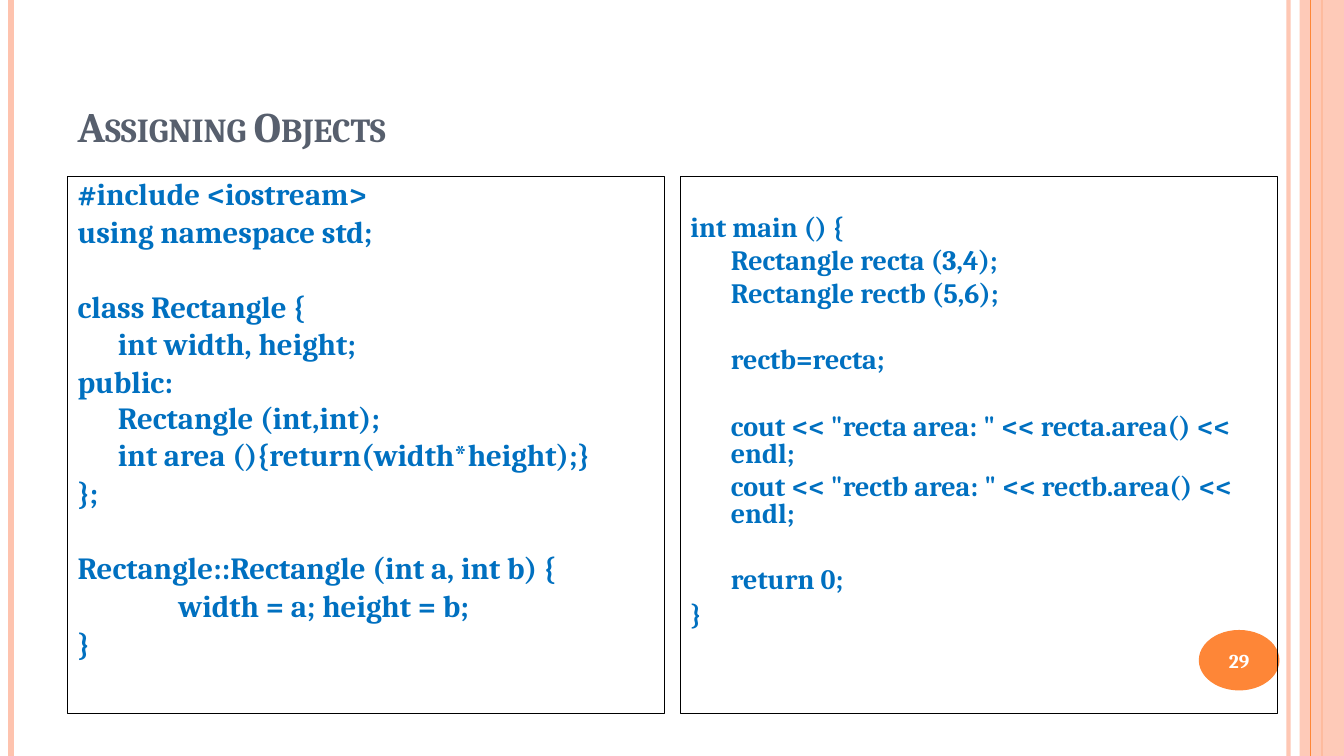
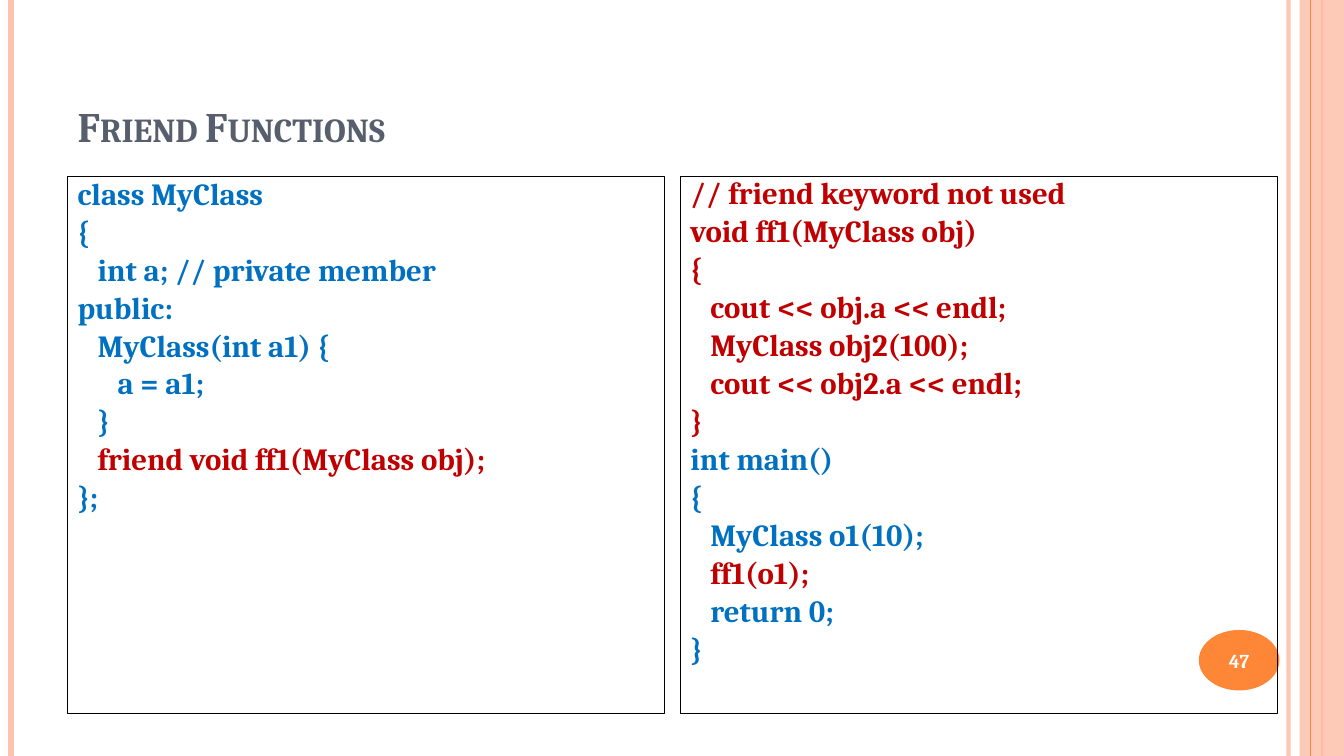
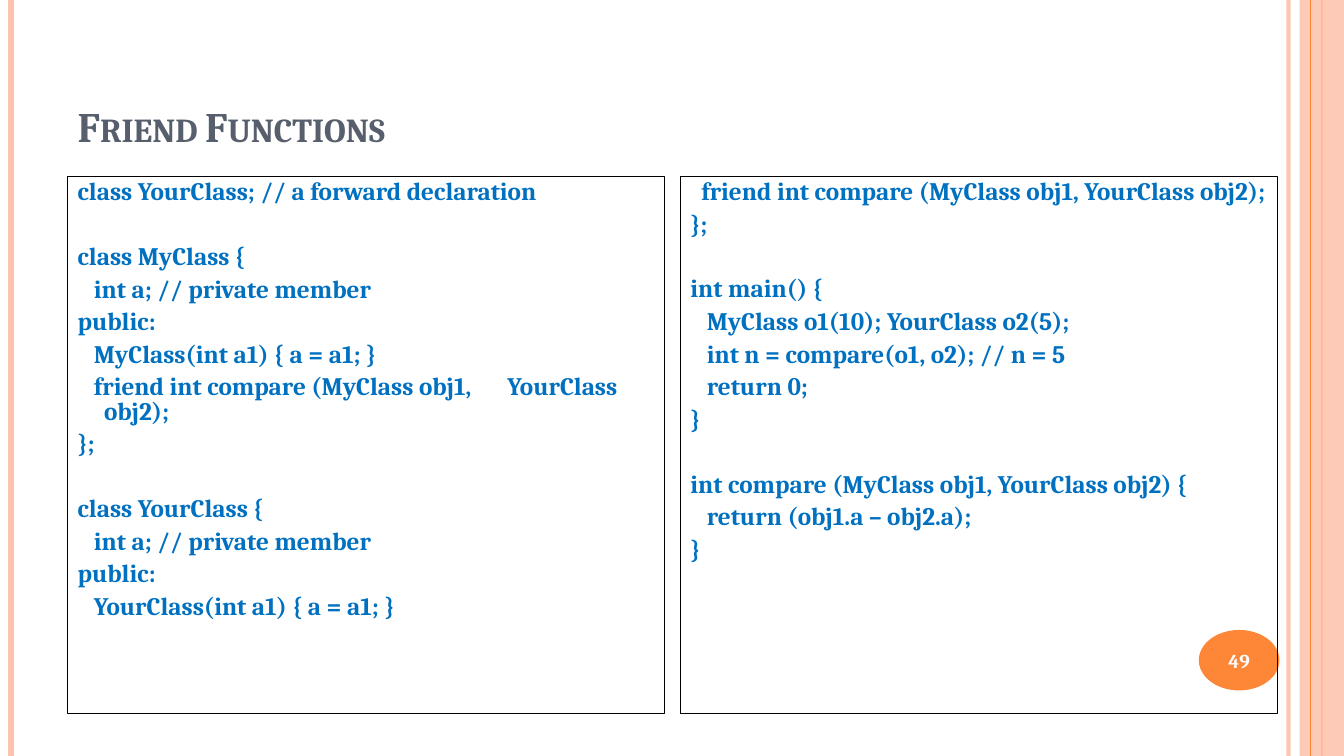
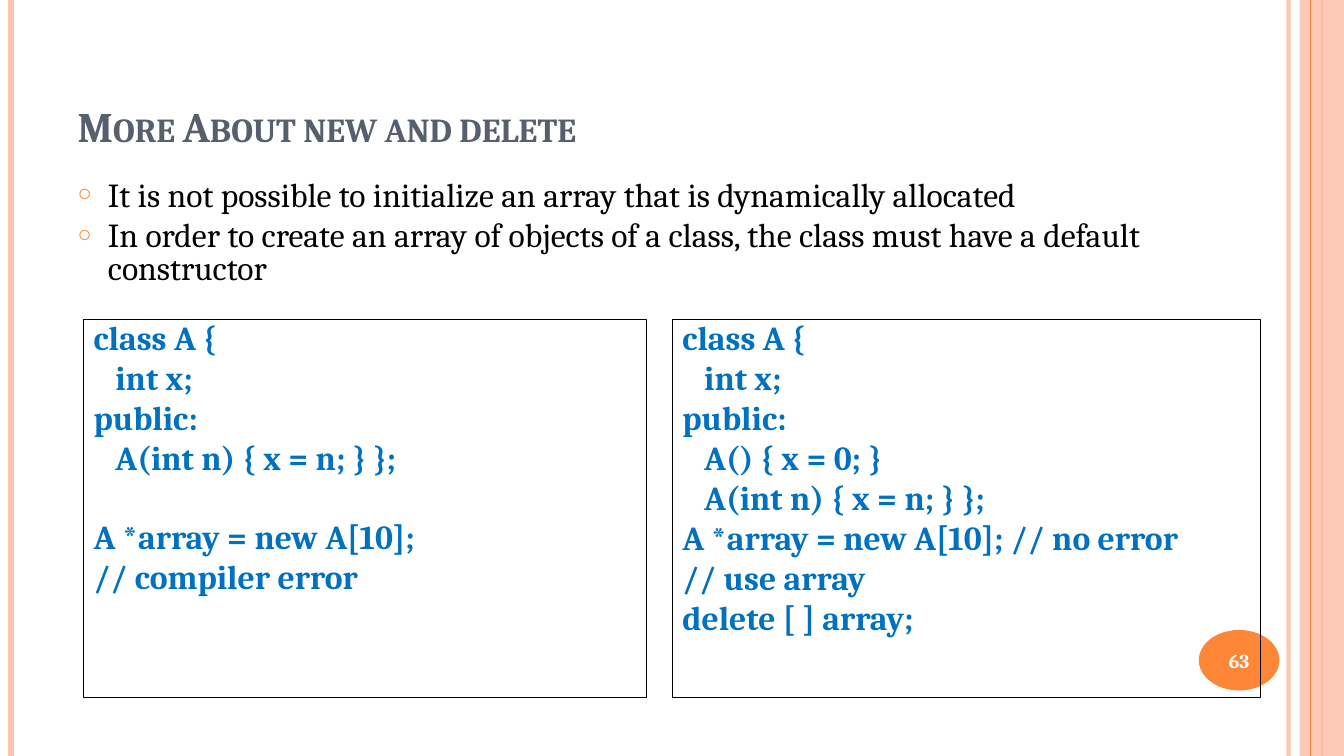
import pptx
import pptx.dml.color
import pptx.enum.shapes
import pptx.enum.text
import pptx.oxml.ns
import pptx.util
from lxml import etree

Inches = pptx.util.Inches
Pt = pptx.util.Pt
qn = pptx.oxml.ns.qn
ALIGN = pptx.enum.text.PP_ALIGN
ANCHOR = pptx.enum.text.MSO_ANCHOR
SHAPE = pptx.enum.shapes.MSO_SHAPE

# Shared look
PEACH, ORANGE, SLATE = "FEC3AE", "FE8637", "575F6D"
BLUE, RED, BLACK, WHITE = "0070C0", "C00000", "000000", "FFFFFF"
TITLE_FONT = {"name": "Cambria", "size": Pt(30), "bold": True}
NUMBER_FONT = {"name": "Cambria", "size": Pt(14), "bold": True}
LIST_FONT = {"name": "Cambria", "size": Pt(24), "bold": False}
LINE_SPACING = 0.8
GAP = 6               # points between paragraphs
TIGHT_GAP = 0.23      # share of the text size, for tightly set lines
LINE_HEIGHT = 0.94    # share of the text size, at the line spacing above
SPACE_WIDTH = 0.003   # inches of indent per leading space and point of size

TITLE_BOX = (0.67, 0.3, 11.22, 1.25)
LIST_BOX = (0.67, 1.75, 11.22, 5.33)
LEFT_BOX = (0.67, 1.75, 5.92, 5.33)
RIGHT_BOX = (6.75, 1.75, 5.92, 5.33)

# Edge stripes: x, colour, width in points, opacity in percent
STRIPES_BELOW = [(12.78, PEACH, 3, 93), (0.11, PEACH, 4.5, 100), (13.11, ORANGE, 1.5, 100)]
STRIPES_ABOVE = [(13, ORANGE, 0.75, 100)]

# Content: leading spaces and blank lines of a listing become indents and gaps
slides = [
    {"title": "Assigning Objects", "number": 29, "panels": [
        {"box": LEFT_BOX, "size": 22, "space": 0.1, "tight": {4}, "code": """\
#include <iostream>
using namespace std;

class Rectangle {
    int width, height;
public:
    Rectangle (int,int);
    int area (){return(width*height);}
};

Rectangle::Rectangle (int a, int b) {
          width = a; height = b;
}"""},
        {"box": RIGHT_BOX, "size": 20, "space": 0.1, "tight": {4}, "top": 0.39, "code": """\
int main () {
    Rectangle recta (3,4);
    Rectangle rectb (5,6);

    rectb=recta;

    cout << "recta area: " << recta.area() << endl;
    cout << "rectb area: " << rectb.area() << endl;

    return 0;
}"""}]},
    {"title": "Friend Functions", "number": 47, "panels": [
        {"box": LEFT_BOX, "size": 22, "red": {7}, "code": """\
class MyClass
{
   int a; // private member
public:
   MyClass(int a1) {
      a = a1;
   }
   friend void ff1(MyClass obj);
};"""},
        {"box": RIGHT_BOX, "size": 22, "red": {*range(7), 10}, "code": """\
// friend keyword not used
void ff1(MyClass obj)
{
   cout << obj.a << endl;
   MyClass obj2(100);
   cout << obj2.a << endl;
}
int main()
{
   MyClass o1(10);
   ff1(o1);
   return 0;
}"""}]},
    {"title": "Friend Functions", "number": 49, "panels": [
        {"box": LEFT_BOX, "size": 18, "hang": 0.1, "tab": 4.07, "code": """\
class YourClass; // a forward declaration

class MyClass {
   int a; // private member
public:
   MyClass(int a1) { a = a1; }
   friend int compare (MyClass obj1,\tYourClass obj2);
};

class YourClass {
   int a; // private member
public:
   YourClass(int a1) { a = a1; }"""},
        {"box": RIGHT_BOX, "size": 18, "code": """\
  friend int compare (MyClass obj1, YourClass obj2);
};

int main() {
   MyClass o1(10); YourClass o2(5);
   int n = compare(o1, o2); // n = 5
   return 0;
}

int compare (MyClass obj1, YourClass obj2) {
   return (obj1.a – obj2.a);
}"""}]},
    {"title": "More About new and delete", "number": 63,
     "bullets": [
         "It is not possible to initialize an array that is dynamically allocated",
         "In order to create an array of objects of a class, the class must have a default constructor"],
     "panels": [
        {"box": (0.83, 3.17, 5.58, 3.75), "size": 24, "tight": {0, 3}, "code": """\
class A {
   int x;
public:
   A(int n) { x = n; } };

A *array = new A[10];
// compiler error"""},
        {"box": (6.67, 3.17, 5.83, 3.75), "size": 24, "tight": {0, 3}, "code": """\
class A {
   int x;
public:
   A() { x = 0; }
   A(int n) { x = n; } };
A *array = new A[10]; // no error
// use array
delete [ ] array;"""}]},
]


def color(hex_string):
    return pptx.dml.color.RGBColor.from_string(hex_string)


def write(paragraph, text, font, hex_string, left=0, first=0, before=0, spacing=1.0,
          bullet=None, tab=None):
    """Fill a paragraph; left, first and tab are inches, before is points."""
    run = paragraph.add_run()
    run.text = text
    for name, value in font.items():
        setattr(run.font, name, value)
    run.font.color.rgb = color(hex_string)
    paragraph.line_spacing = spacing
    paragraph.space_before = Pt(before)
    properties = paragraph._p.get_or_add_pPr()
    properties.set("marL", str(Inches(left)))
    properties.set("indent", str(Inches(first)))
    if bullet:
        bullet_color = etree.SubElement(properties, qn("a:buClr"))
        etree.SubElement(bullet_color, qn("a:srgbClr"), val=ORANGE)
        etree.SubElement(properties, qn("a:buSzPct"), val="70000")
        etree.SubElement(properties, qn("a:buChar"), char=bullet)
    else:
        etree.SubElement(properties, qn("a:buNone"))
    if tab:
        tabs = etree.SubElement(properties, qn("a:tabLst"))
        etree.SubElement(tabs, qn("a:tab"), pos=str(Inches(tab)), algn="l")
    return run


prs = pptx.Presentation()
prs.slide_width, prs.slide_height = Inches(13.33), Inches(7.5)

for content in slides:
    slide = prs.slides.add_slide(prs.slide_layouts[1])
    title, body = slide.placeholders

    # Title in small capitals
    title.left, title.top, title.width, title.height = map(Inches, TITLE_BOX)
    title.text_frame.vertical_anchor = ANCHOR.BOTTOM
    title.text_frame.auto_size = pptx.enum.text.MSO_AUTO_SIZE.NONE
    heading = title.text_frame.paragraphs[0]
    heading.alignment = ALIGN.LEFT
    heading_run = write(heading, content["title"], TITLE_FONT, SLATE)
    heading_run._r.get_or_add_rPr().set("cap", "small")

    # Edge stripes and band
    for stripes in (STRIPES_BELOW, STRIPES_ABOVE):
        for x, hue, width, opacity in stripes:
            stripe = slide.shapes.add_connector(
                pptx.enum.shapes.MSO_CONNECTOR.STRAIGHT,
                Inches(x), 0, Inches(x), prs.slide_height)
            stripe.line.color.rgb = color(hue)
            stripe.line.width = Pt(width)
            for hue_element in stripe._element.spPr.iter(qn("a:srgbClr")):
                etree.SubElement(hue_element, qn("a:alpha"), val=str(opacity * 1000))
            etree.SubElement(stripe._element.spPr, qn("a:effectLst"))
        if stripes is STRIPES_BELOW:
            band = slide.shapes.add_shape(
                SHAPE.RECTANGLE, Inches(12.89), 0, Inches(0.44), prs.slide_height)
            band.shadow.inherit = False
            band.fill.solid()
            band.fill.fore_color.rgb = color(PEACH)
            band.line.fill.background()
            for hue_element in band._element.spPr.iter(qn("a:srgbClr")):
                etree.SubElement(hue_element, qn("a:alpha"), val="87000")

    # Slide number badge
    badge = slide.shapes.add_shape(
        SHAPE.OVAL, Inches(11.89), Inches(6.25), Inches(0.8), Inches(0.6))
    badge.shadow.inherit = False
    badge.fill.solid()
    badge.fill.fore_color.rgb = color(ORANGE)
    badge.line.fill.background()
    badge.text_frame.margin_left = badge.text_frame.margin_right = 0
    badge.text_frame.vertical_anchor = ANCHOR.MIDDLE
    badge_number = badge.text_frame.paragraphs[0]
    badge_number.alignment = ALIGN.CENTER
    write(badge_number, str(content["number"]), NUMBER_FONT, WHITE)

    # Bullet list, where the body is not a listing
    holders = [body]
    if "bullets" in content:
        holders = []
        body.left, body.top, body.width, body.height = map(Inches, LIST_BOX)
        body.text_frame.auto_size = pptx.enum.text.MSO_AUTO_SIZE.NONE
        for index, point in enumerate(content["bullets"]):
            item = body.text_frame.add_paragraph() if index else body.text_frame.paragraphs[0]
            write(item, point, LIST_FONT, BLACK, left=0.3, first=-0.3, before=GAP,
                  spacing=LINE_SPACING, bullet="○")

    # Framed code listings
    for panel in content["panels"]:
        box = [Inches(length) for length in panel["box"]]
        listing = holders.pop() if holders else slide.shapes.add_textbox(*box)
        listing.left, listing.top, listing.width, listing.height = box
        listing.line.color.rgb = color(BLACK)
        listing.line.width = Pt(0.75)
        frame = listing.text_frame
        frame.word_wrap = True
        frame.auto_size = pptx.enum.text.MSO_AUTO_SIZE.NONE
        frame.margin_top = Inches(panel.get("top", 0.05))

        size = panel["size"]
        code_font = {"name": "Cambria", "size": Pt(size), "bold": True}
        space = panel.get("space", size * SPACE_WIDTH)
        hang = panel.get("hang", 0)
        skipped = 0
        for index, line in enumerate(panel["code"].split("\n")):
            if not line:
                skipped += 1
                continue
            code = line.lstrip(" ")
            depth = len(line) - len(code)
            gap = size * TIGHT_GAP if depth in panel.get("tight", ()) else GAP
            before = gap + skipped * (size * LINE_HEIGHT + gap)
            skipped = 0
            statement = frame.add_paragraph() if index else frame.paragraphs[0]
            write(statement, code, code_font,
                  RED if index in panel.get("red", ()) else BLUE,
                  left=depth * space + hang, first=-hang, before=round(before, 1),
                  spacing=LINE_SPACING, tab=panel.get("tab") if "\t" in code else None)

prs.save("out.pptx")
